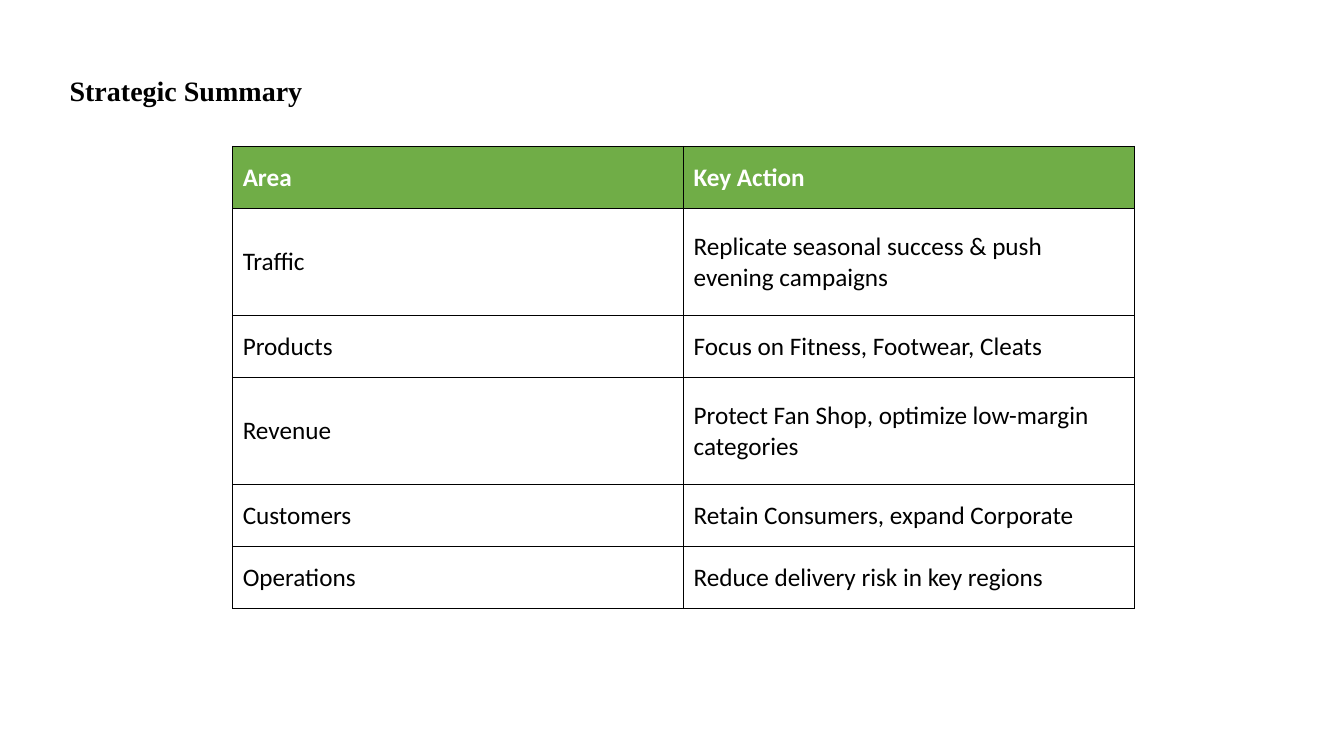
from pptx import Presentation
from pptx.dml.color import RGBColor
from pptx.enum.text import MSO_ANCHOR, MSO_AUTO_SIZE, PP_ALIGN
from pptx.oxml.ns import qn
from pptx.util import Pt
from lxml import etree

BLACK = RGBColor(0, 0, 0)
WHITE = RGBColor(255, 255, 255)
GREEN = RGBColor(0x70, 0xAD, 0x47)
MIDDLE = MSO_ANCHOR.MIDDLE
TOP = MSO_ANCHOR.TOP
LEFT = PP_ALIGN.LEFT
FIT_SHAPE = MSO_AUTO_SIZE.SHAPE_TO_FIT_TEXT
TITLE_ONLY = 5

TITLE_FONT = {"name": "Times New Roman", "size": Pt(20), "bold": True}
HEADER_FONT = {"name": "Calibri", "size": Pt(18), "bold": True}
BODY_FONT = {**HEADER_FONT, "bold": False}

ACTIONS = [
    ("Area", "Key Action"),
    ("Traffic", "Replicate seasonal success & push evening campaigns"),
    ("Products", "Focus on Fitness, Footwear, Cleats"),
    ("Revenue", "Protect Fan Shop, optimize low-margin categories"),
    ("Customers", "Retain Consumers, expand Corporate"),
    ("Operations", "Reduce delivery risk in key regions"),
]
SINGLE_ROW, DOUBLE_ROW = 44.3, 76.6
ROW_HEIGHTS = [SINGLE_ROW, DOUBLE_ROW, SINGLE_ROW, DOUBLE_ROW, SINGLE_ROW, SINGLE_ROW]


class SlideBuilder:
    def __init__(self, presentation):
        self.slide = presentation.slides.add_slide(presentation.slide_layouts[TITLE_ONLY])

    def format_font(self, font, values, color):
        for name, value in values.items():
            setattr(font, name, value)
        font.color.rgb = color

    def title(self, text, left, top, width, height):
        shape = self.slide.shapes.title
        box = {"left": left, "top": top, "width": width, "height": height}
        for name, value in box.items():
            setattr(shape, name, Pt(value))
        frame = shape.text_frame
        frame.text = text
        layout = {"word_wrap": True, "vertical_anchor": TOP, "auto_size": FIT_SHAPE}
        for name, value in layout.items():
            setattr(frame, name, value)
        paragraph = frame.paragraphs[0]
        paragraph.alignment = LEFT
        paragraph.line_spacing = 1.0
        self.format_font(paragraph.runs[0].font, TITLE_FONT, BLACK)

    def cell_borders(self, cell):
        properties = cell._tc.get_or_add_tcPr()
        for index, side in enumerate(("a:lnL", "a:lnR", "a:lnT", "a:lnB")):
            line = etree.Element(qn(side), w=str(Pt(1)))
            fill = etree.SubElement(line, qn("a:solidFill"))
            etree.SubElement(fill, qn("a:srgbClr"), val=str(BLACK))
            properties.insert(index, line)

    def table(self, rows, left, top, column_width, row_heights):
        column_count = len(rows[0])
        frame = self.slide.shapes.add_table(
            len(rows), column_count, Pt(left), Pt(top),
            Pt(column_width * column_count), Pt(sum(row_heights)))
        table = frame.table
        for column in table.columns:
            column.width = Pt(column_width)
        for row_index, (texts, height) in enumerate(zip(rows, row_heights)):
            table.rows[row_index].height = Pt(height)
            is_header = row_index == 0
            for cell, text in zip(table.rows[row_index].cells, texts):
                cell.text = text
                cell.vertical_anchor = MIDDLE
                cell.fill.solid()
                cell.fill.fore_color.rgb = GREEN if is_header else WHITE
                self.format_font(
                    cell.text_frame.paragraphs[0].runs[0].font,
                    HEADER_FONT if is_header else BODY_FONT,
                    WHITE if is_header else BLACK)
                self.cell_borders(cell)


def main():
    presentation = Presentation()
    presentation.slide_width = Pt(960)
    presentation.slide_height = Pt(540)
    builder = SlideBuilder(presentation)
    builder.title("Strategic Summary", 42.5, 49, 253.5, 31.5)
    builder.table(ACTIONS, 166.2, 104.6, 322.1, ROW_HEIGHTS)
    presentation.save("out.pptx")


if __name__ == "__main__":
    main()
